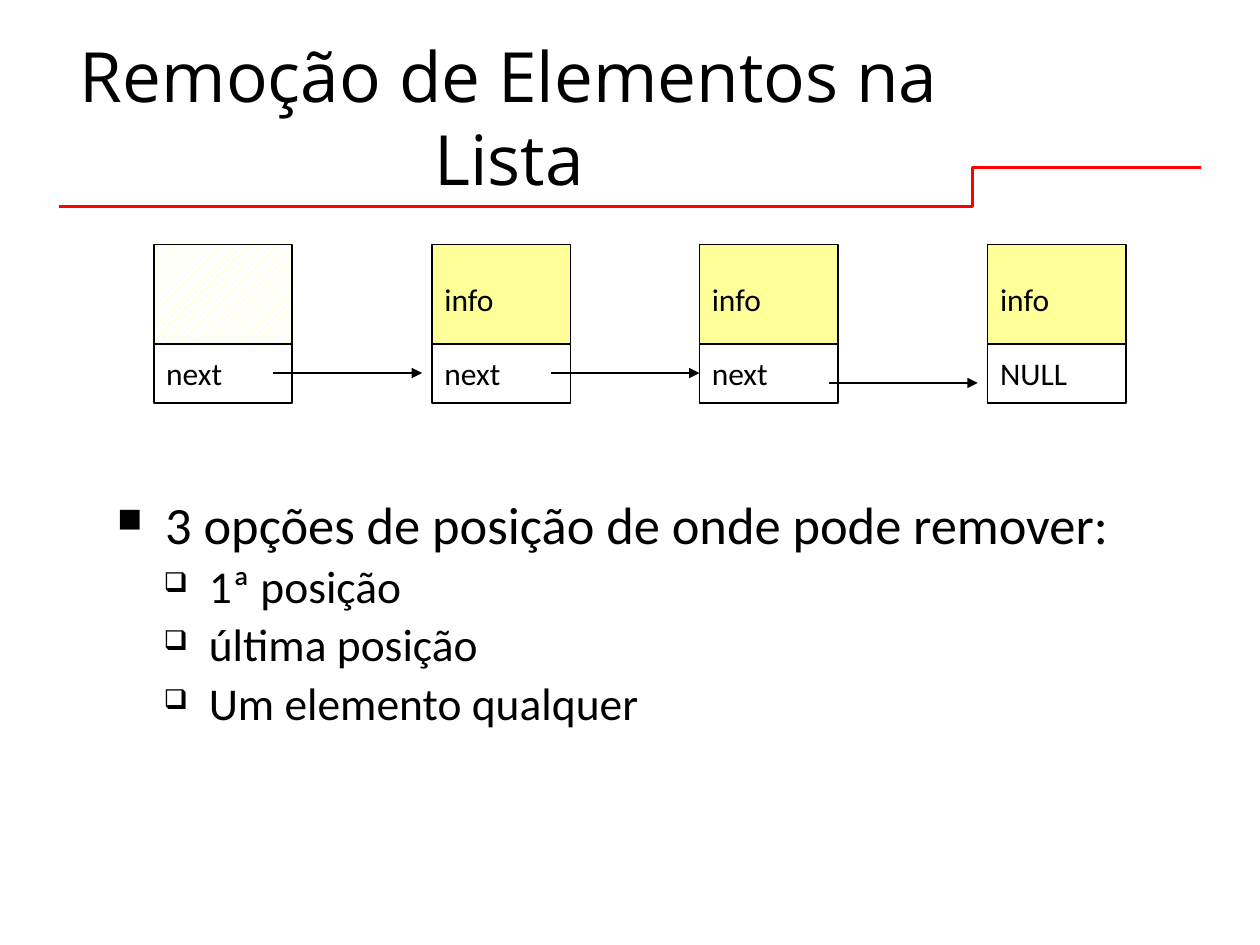
from lxml import etree
from pptx import Presentation
from pptx import util as u
from pptx.dml.color import RGBColor
from pptx.enum import dml, shapes, text
from pptx.oxml.ns import qn

BLACK = RGBColor(0x00, 0x00, 0x00)
WHITE = RGBColor(0xFF, 0xFF, 0xFF)
YELLOW = RGBColor(0xFF, 0xFF, 0x99)
RED = RGBColor(0xFF, 0x00, 0x00)


class SlideBuilder:
    title_font = "Open Sans"
    body_font = "Calibri"

    def __init__(self, slide):
        self.slide = slide

    def style(self, paragraph, size, name):
        paragraph.font.size = u.Pt(size)
        paragraph.font.name = name
        paragraph.font.color.rgb = BLACK

    def text_box(self, left, top, width, height):
        box = self.slide.shapes.add_textbox(u.Cm(left), u.Cm(top), u.Cm(width), u.Cm(height))
        box.text_frame.word_wrap = True
        return box.text_frame

    def title(self, words, *place):
        frame = self.text_box(*place)
        frame.vertical_anchor = text.MSO_ANCHOR.MIDDLE
        paragraph = frame.paragraphs[0]
        paragraph.text = words
        paragraph.alignment = text.PP_ALIGN.CENTER
        self.style(paragraph, 39.6, self.title_font)

    def cell(self, left, top, width, height, words="", color=WHITE, hatched=False):
        shape = self.slide.shapes.add_shape(
            shapes.MSO_SHAPE.RECTANGLE, u.Cm(left), u.Cm(top), u.Cm(width), u.Cm(height))
        shape.shadow.inherit = False
        if hatched:
            shape.fill.patterned()
            shape.fill.pattern = dml.MSO_PATTERN.WIDE_UPWARD_DIAGONAL
            shape.fill.fore_color.rgb = color
            shape.fill.back_color.rgb = WHITE
        else:
            shape.fill.solid()
            shape.fill.fore_color.rgb = color
        shape.line.color.rgb = BLACK
        shape.line.width = u.Pt(1)
        if words:
            frame = shape.text_frame
            frame.word_wrap = False
            frame.vertical_anchor = text.MSO_ANCHOR.MIDDLE
            paragraph = frame.paragraphs[0]
            paragraph.text = words
            paragraph.alignment = text.PP_ALIGN.LEFT
            self.style(paragraph, 18, self.body_font)

    def connector(self, kind, start, end, color, width):
        line = self.slide.shapes.add_connector(kind, *(u.Cm(value) for value in start + end))
        line.line.color.rgb = color
        line.line.width = u.Pt(width)
        etree.SubElement(line._element.spPr, qn("a:effectLst"))
        return line

    def arrow(self, left, y, length):
        line = self.connector(shapes.MSO_CONNECTOR.STRAIGHT, (left, y), (left + length, y), BLACK, 1)
        etree.SubElement(line.line._get_or_add_ln(), qn("a:tailEnd"), type="triangle")

    def step_line(self, start, end, bend):
        line = self.connector(shapes.MSO_CONNECTOR.ELBOW, start, end, RED, 1.5)
        geometry = line._element.spPr.find(qn("a:prstGeom"))
        guides = geometry.find(qn("a:avLst"))
        if guides is None:
            guides = etree.SubElement(geometry, qn("a:avLst"))
        etree.SubElement(guides, qn("a:gd"), name="adj1", fmla=f"val {round(bend * 100000)}")

    def bullets(self, items, levels, *place):
        frame = self.text_box(*place)
        for index, (level, words) in enumerate(items):
            size, mark, percent, margin, indent = levels[level]
            paragraph = frame.add_paragraph() if index else frame.paragraphs[0]
            paragraph.text = words
            paragraph.level = level
            paragraph.line_spacing = 0.9
            paragraph.space_before = u.Pt(size * 0.2)
            self.style(paragraph, size, self.body_font)
            properties = paragraph._p.get_or_add_pPr()
            properties.set("marL", str(u.Cm(margin)))
            properties.set("indent", str(u.Cm(-indent)))
            bullet = [etree.Element(qn("a:buClr")),
                      etree.Element(qn("a:buSzPct"), val=str(percent * 1000)),
                      etree.Element(qn("a:buChar"), char=mark)]
            etree.SubElement(bullet[0], qn("a:srgbClr"), val=str(BLACK))
            font = properties.find(qn("a:defRPr"))
            for element in bullet:
                if font is None:
                    properties.append(element)
                else:
                    font.addprevious(element)


presentation = Presentation()
presentation.slide_width = u.Cm(25.4)
presentation.slide_height = u.Cm(19.05)
builder = SlideBuilder(presentation.slides.add_slide(presentation.slide_layouts[6]))

# Title and its red rule
builder.step_line((1.19, 4.17), (24.21, 3.38), 0.8)
builder.title("Remoção de Elementos na Lista", 1.27, 0.76, 17.98, 3.18)

# Linked list: head node, then the data nodes
NODE_WIDTH = 2.79
nodes = [(3.1, "", "next"), (8.71, "info", "next"), (14.1, "info", "next"), (19.91, "info", "NULL")]
for left, info, link in nodes:
    builder.cell(left, 4.93, NODE_WIDTH, 2.21, info, YELLOW, hatched=not info)
    builder.cell(left, 6.93, NODE_WIDTH, 1.19, link)

# Arrows between nodes
for left, y in [(5.51, 7.52), (11.1, 7.52), (16.71, 7.72)]:
    builder.arrow(left, y, 3)

# Options; each level: size, mark, mark percent, margin, hanging indent
levels = [(30, "■", 65, 0.97, 0.97), (26, "❑", 60, 1.85, 0.91)]
options = [
    (0, "3 opções de posição de onde pode remover:"),
    (1, "1ª posição"),
    (1, "última posição"),
    (1, "Um elemento qualquer"),
]
builder.bullets(options, levels, 2.11, 9.93, 21.39, 6.65)

presentation.save("out.pptx")
